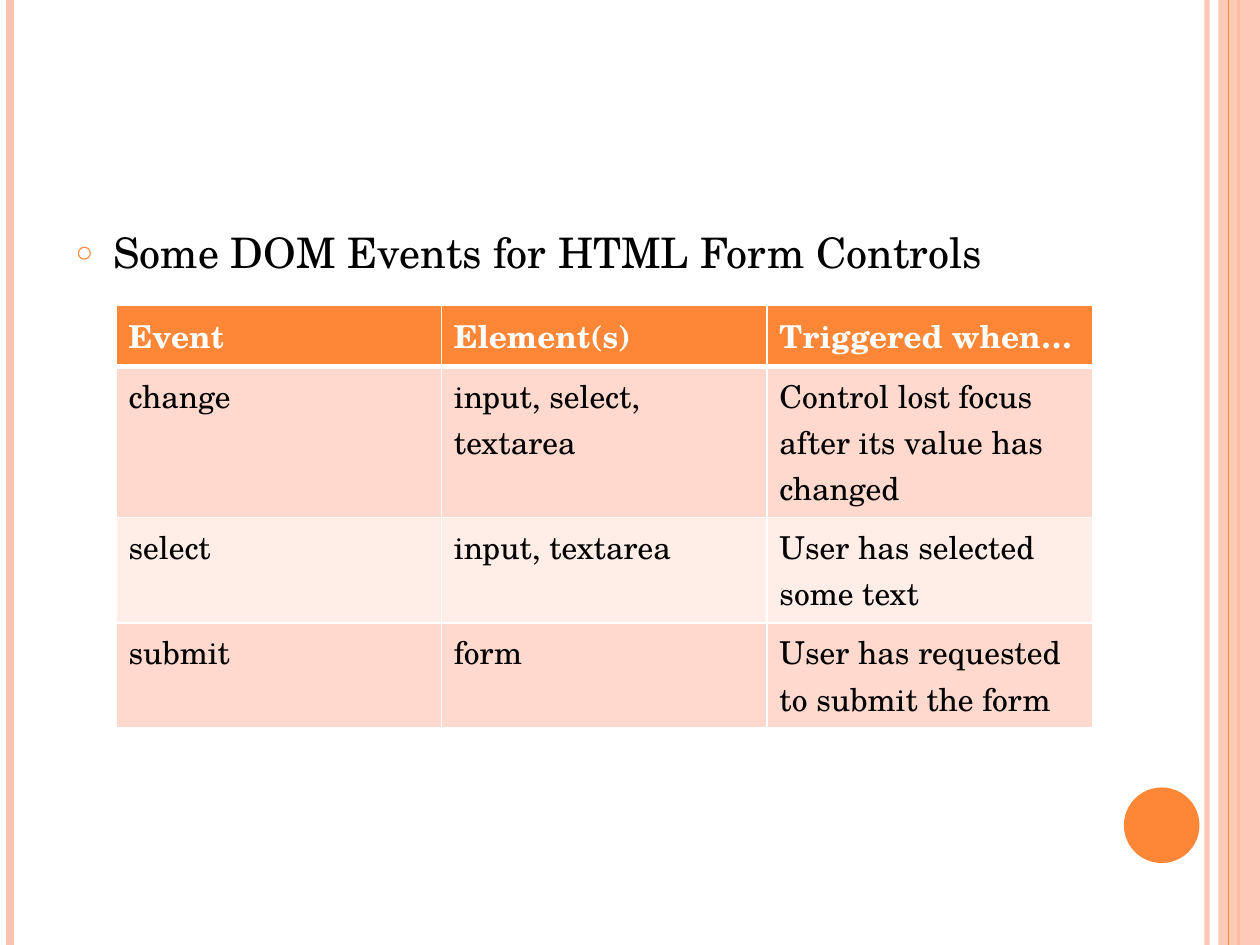
import lxml.etree
import pptx
import pptx.dml.color
import pptx.enum.shapes
import pptx.enum.text
import pptx.oxml
import pptx.oxml.ns
import pptx.util
from pptx.util import Inches

COLORS = {
    "orange": "FE8637",
    "peach": "FEC3AE",
    "band_dark": "FFD9CE",
    "band_light": "FFEDE8",
    "white": "FFFFFF",
    "black": "000000",
}


class SlideBuilder:
    """Holds the style and the current slide, and adds each kind of element."""

    font_name = "TeX Gyre Schola"

    def __init__(self, slide):
        self.slide = slide

    def color(self, name):
        return pptx.dml.color.RGBColor.from_string(COLORS[name])

    def add_child(self, parent, tag, **attributes):
        return lxml.etree.SubElement(parent, pptx.oxml.ns.qn(tag), attributes)

    def set_alpha(self, shape, percent):
        for color in shape._element.spPr.iter(pptx.oxml.ns.qn("a:srgbClr")):
            self.add_child(color, "a:alpha", val=str(percent * 1000))

    def style_font(self, paragraph, size, color, bold=False):
        font = paragraph.font
        font.name = self.font_name
        font.size = pptx.util.Pt(size)
        font.bold = bold
        font.color.rgb = self.color(color)

    def vertical_line(self, x, color, width, alpha=100):
        line = self.slide.shapes.add_connector(
            pptx.enum.shapes.MSO_CONNECTOR.STRAIGHT,
            Inches(x), Inches(0), Inches(x), Inches(7.5))
        line.line.color.rgb = self.color(color)
        line.line.width = pptx.util.Pt(width)
        if alpha < 100:
            self.set_alpha(line, alpha)
        self.add_child(line._element.spPr, "a:effectLst")

    def shape(self, kind, left, top, width, height, color, alpha=100):
        shape = self.slide.shapes.add_shape(
            kind, Inches(left), Inches(top), Inches(width), Inches(height))
        shape.shadow.inherit = False
        shape.fill.solid()
        shape.fill.fore_color.rgb = self.color(color)
        shape.line.fill.background()
        if alpha < 100:
            self.set_alpha(shape, alpha)

    def bullet_body(self, text, left, top, width, height):
        body = self.slide.placeholders[1]
        body.left, body.top = Inches(left), Inches(top)
        body.width, body.height = Inches(width), Inches(height)
        frame = body.text_frame
        frame.text = text
        frame.auto_size = pptx.enum.text.MSO_AUTO_SIZE.NONE
        frame.vertical_anchor = pptx.enum.text.MSO_ANCHOR.TOP
        paragraph = frame.paragraphs[0]
        paragraph.space_before = pptx.util.Pt(6)
        properties = paragraph._p.get_or_add_pPr()
        properties.set("marL", str(Inches(0.3)))
        properties.set("indent", str(Inches(-0.3)))
        bullet_color = self.add_child(properties, "a:buClr")
        self.add_child(bullet_color, "a:srgbClr", val=COLORS["orange"])
        self.add_child(properties, "a:buSzPct", val="70000")
        self.add_child(properties, "a:buChar", char="○")
        self.style_font(paragraph, 24, "black")

    def cell_borders(self, cell, bottom_width):
        properties = cell._tc.get_or_add_tcPr()
        for side, width in (("L", 1), ("R", 1), ("T", 1), ("B", bottom_width)):
            border = self.add_child(
                properties, f"a:ln{side}", w=str(pptx.util.Pt(width)))
            fill = self.add_child(border, "a:solidFill")
            self.add_child(fill, "a:srgbClr", val=COLORS["white"])

    def table(self, rows, left, top, width, row_height):
        table = self.slide.shapes.add_table(
            len(rows), len(rows[0]), Inches(left), Inches(top),
            Inches(width), Inches(row_height * len(rows))).table
        for row_index, row in enumerate(rows):
            header = row_index == 0
            band = "band_dark" if row_index % 2 else "band_light"
            for column_index, text in enumerate(row):
                cell = table.cell(row_index, column_index)
                cell.text = text
                self.cell_borders(cell, 3 if header or False else 1)
                cell.fill.solid()
                cell.fill.fore_color.rgb = self.color("orange" if header else band)
                self.style_font(cell.text_frame.paragraphs[0], 18,
                                "white" if header else "black", header)


presentation = pptx.Presentation()
presentation.slide_width = Inches(10)
presentation.slide_height = Inches(7.5)
slide = presentation.slides.add_slide(presentation.slide_layouts[1])
title = slide.shapes.title._element
title.getparent().remove(title)

builder = SlideBuilder(slide)
shapes = pptx.enum.shapes.MSO_SHAPE
builder.vertical_line(9.58, "peach", 3, alpha=93)
builder.vertical_line(0.08, "peach", 4.5)
builder.vertical_line(9.83, "orange", 1.5)
builder.shape(shapes.RECTANGLE, 9.67, 0, 0.33, 7.5, "peach", alpha=87)
builder.vertical_line(9.75, "orange", 0.75)
builder.shape(shapes.OVAL, 8.92, 6.25, 0.6, 0.6, "orange")
builder.bullet_body("Some DOM Events for HTML Form Controls", 0.5, 1.75, 8.17, 5.33)
builder.table([
    ("Event", "Element(s)", "Triggered when…"),
    ("change", "input, select, textarea",
     "Control lost focus after its value has changed"),
    ("select", "input, textarea", "User has selected some text"),
    ("submit", "form", "User has requested to submit the form"),
], 0.92, 2.42, 7.75, 0.41)

presentation.save("out.pptx")
